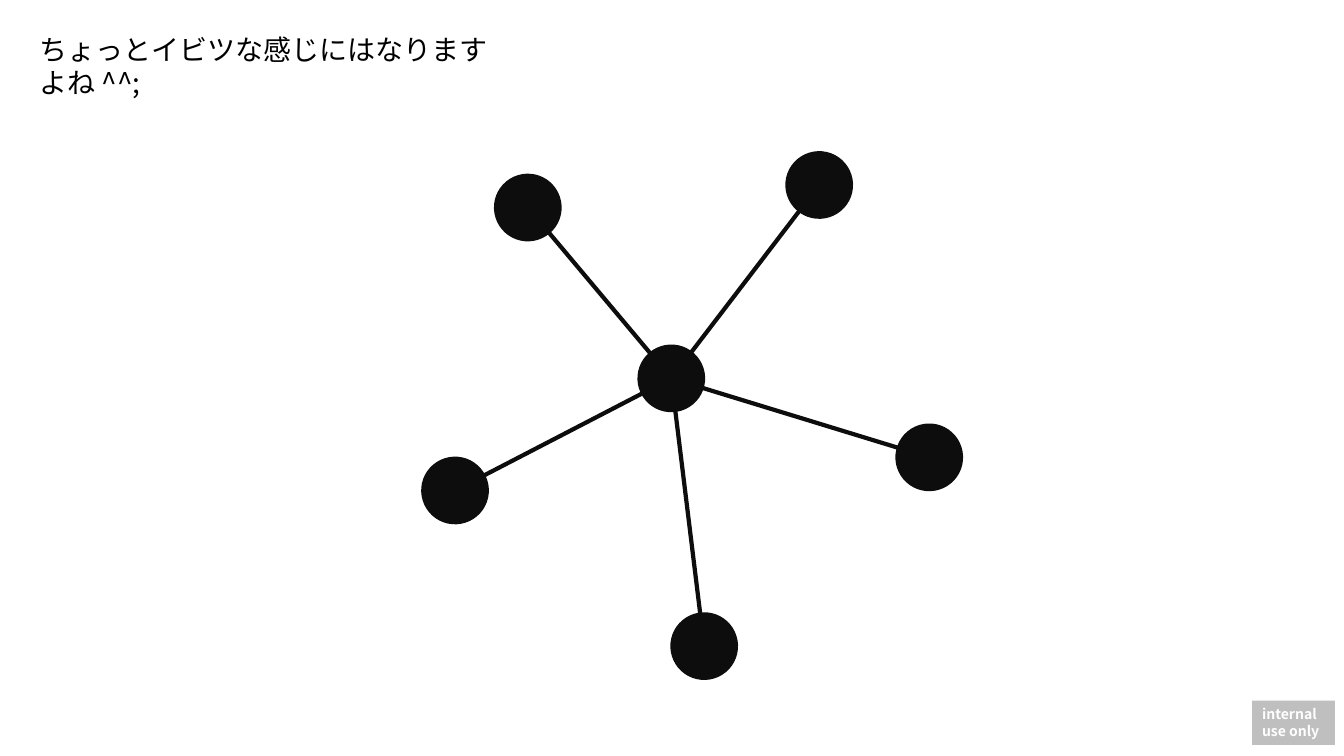
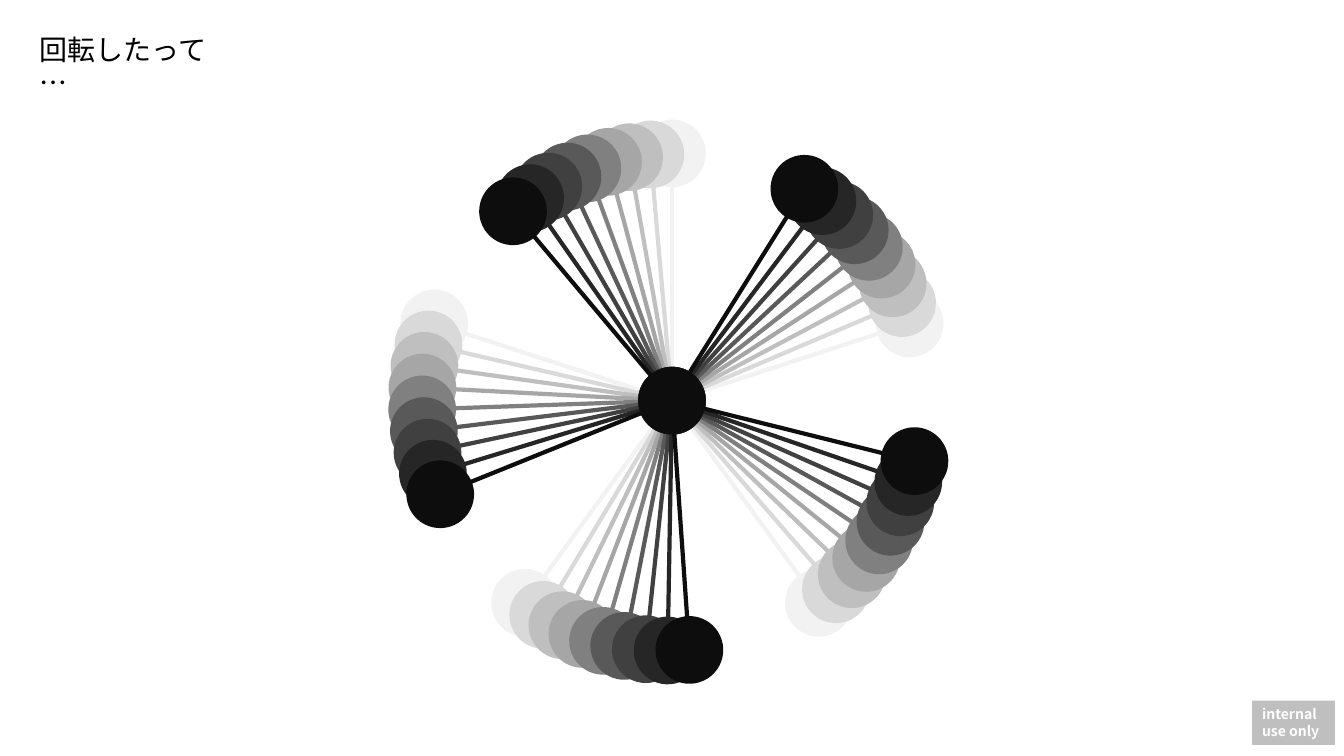
from dataclasses import dataclass
from math import cos, radians, sin

from lxml import etree
from pptx import Presentation
from pptx import util as u
from pptx.dml.color import RGBColor
from pptx.enum import shapes, text
from pptx.oxml import ns

WIDTH, HEIGHT = u.Inches(13.33), u.Inches(7.5)


@dataclass(frozen=True)
class Theme:
    font: str = "Noto Sans CJK JP"
    title_size: int = 20
    stamp_size: int = 10
    stroke: int = 3
    ink: str = "000000"
    paper: str = "FFFFFF"
    stamp: str = "BFBFBF"
    solid: str = "0D0D0D"
    trail: tuple[str, ...] = (
        "F2F2F2", "D9D9D9", "BFBFBF", "A6A6A6", "808080", "595959", "404040", "262626",
    )


@dataclass(frozen=True)
class Point:
    x: int
    y: int


@dataclass(frozen=True)
class Area:
    column: float
    row: float
    columns: float
    rows: float

    def lengths(self) -> tuple[int, int, int, int]:
        return across(self.column), down(self.row), across(self.columns), down(self.rows)


@dataclass(frozen=True)
class Wheel:
    hub: Point
    center: Point
    turn: int
    color: str


@dataclass(frozen=True)
class Sheet:
    title: str
    title_columns: float
    wheels: tuple[Wheel, ...]


def across(columns: float) -> int:
    return round(WIDTH * columns / 100)


def down(rows: float) -> int:
    return round(HEIGHT * rows / 100)


def at(column: float, row: float) -> Point:
    return Point(across(column), down(row))


THEME = Theme()
DISC = down(8.4)
ARMS = (down(32.7),) + (down(33.05),) * 4
ARM_ANGLE = 360 / len(ARMS)
TURN_STEP = 5
FINAL_TURN = TURN_STEP * len(THEME.trail)
STAMP_AREA = Area(93.17, 92.67, 6.15, 5.87)
MIDDLE = at(50, 53)

SHEETS = (
    Sheet(
        "ちょっとイビツな感じにはなりますよね ^^;",
        35.7,
        (Wheel(at(49.95, 50.05), at(51.1, 52.5), FINAL_TURN, THEME.solid),),
    ),
    Sheet(
        "回転したって …",
        14.7,
        tuple(
            Wheel(MIDDLE, MIDDLE, step * TURN_STEP, color)
            for step, color in enumerate(THEME.trail + (THEME.solid,))
        ),
    ),
)


def write_text(
    box, lines: tuple[str, ...], *, size: int, color: str, bold: bool = False,
    wrap: bool = True, anchor=text.MSO_ANCHOR.TOP,
) -> None:
    frame = box.text_frame
    frame.word_wrap = wrap
    frame.auto_size = text.MSO_AUTO_SIZE.SHAPE_TO_FIT_TEXT
    frame.vertical_anchor = anchor
    for index, line in enumerate(lines):
        para = frame.add_paragraph() if index else frame.paragraphs[0]
        para.alignment = text.PP_ALIGN.LEFT
        span = para.add_run()
        span.text = line
        span.font.name = THEME.font
        span.font.size = u.Pt(size)
        span.font.bold = bold
        span.font.color.rgb = RGBColor.from_string(color)
        east_asian = etree.SubElement(span._r.get_or_add_rPr(), ns.qn("a:ea"))
        east_asian.set("typeface", THEME.font)


def paint_line(line, color: str) -> None:
    line.color.rgb = RGBColor.from_string(color)
    line.width = u.Pt(THEME.stroke)


def paint_shape(shape, color: str) -> None:
    shape.shadow.inherit = False
    shape.fill.solid()
    shape.fill.fore_color.rgb = RGBColor.from_string(color)


def draw_spoke(group, start: Point, end: Point, color: str) -> None:
    spoke = group.shapes.add_connector(
        shapes.MSO_CONNECTOR.STRAIGHT, start.x, start.y, end.x, end.y
    )
    paint_line(spoke.line, color)
    etree.SubElement(spoke._element.spPr, ns.qn("a:effectLst"))


def draw_disc(group, center: Point, turn: int, color: str) -> None:
    disc = group.shapes.add_shape(
        shapes.MSO_SHAPE.OVAL, center.x - DISC // 2, center.y - DISC // 2, DISC, DISC
    )
    paint_shape(disc, color)
    paint_line(disc.line, color)
    disc.rotation = -turn % 360


def draw_wheel(page, wheel: Wheel) -> None:
    group = page.shapes.add_group_shape()
    nodes = []
    for index, arm in enumerate(ARMS):
        angle = radians(index * ARM_ANGLE - 90 - wheel.turn)
        nodes.append(Point(
            round(wheel.center.x + arm * cos(angle)),
            round(wheel.center.y + arm * sin(angle)),
        ))
    for node in nodes:
        draw_spoke(group, node, wheel.hub, wheel.color)
    for center in (wheel.hub, *nodes):
        draw_disc(group, center, wheel.turn, wheel.color)


def draw_stamp(page) -> None:
    box = page.shapes.add_shape(shapes.MSO_SHAPE.RECTANGLE, *STAMP_AREA.lengths())
    paint_shape(box, THEME.stamp)
    box.line.fill.background()
    write_text(
        box, ("internal", "use only"), size=THEME.stamp_size, color=THEME.paper,
        bold=True, wrap=False, anchor=text.MSO_ANCHOR.MIDDLE,
    )


def draw_title(page, title: str, columns: float) -> None:
    area = Area(2.18, 3.6, columns, 5.87)
    box = page.shapes.add_textbox(*area.lengths())
    write_text(box, (title,), size=THEME.title_size, color=THEME.ink)


def draw_sheet(deck, sheet: Sheet) -> None:
    page = deck.slides.add_slide(deck.slide_layouts[6])
    page.background.fill.solid()
    page.background.fill.fore_color.rgb = RGBColor.from_string(THEME.paper)
    draw_stamp(page)
    draw_title(page, sheet.title, sheet.title_columns)
    for wheel in sheet.wheels:
        draw_wheel(page, wheel)


def main() -> None:
    deck = Presentation()
    deck.slide_width, deck.slide_height = WIDTH, HEIGHT
    for sheet in SHEETS:
        draw_sheet(deck, sheet)
    deck.save("out.pptx")


main()
